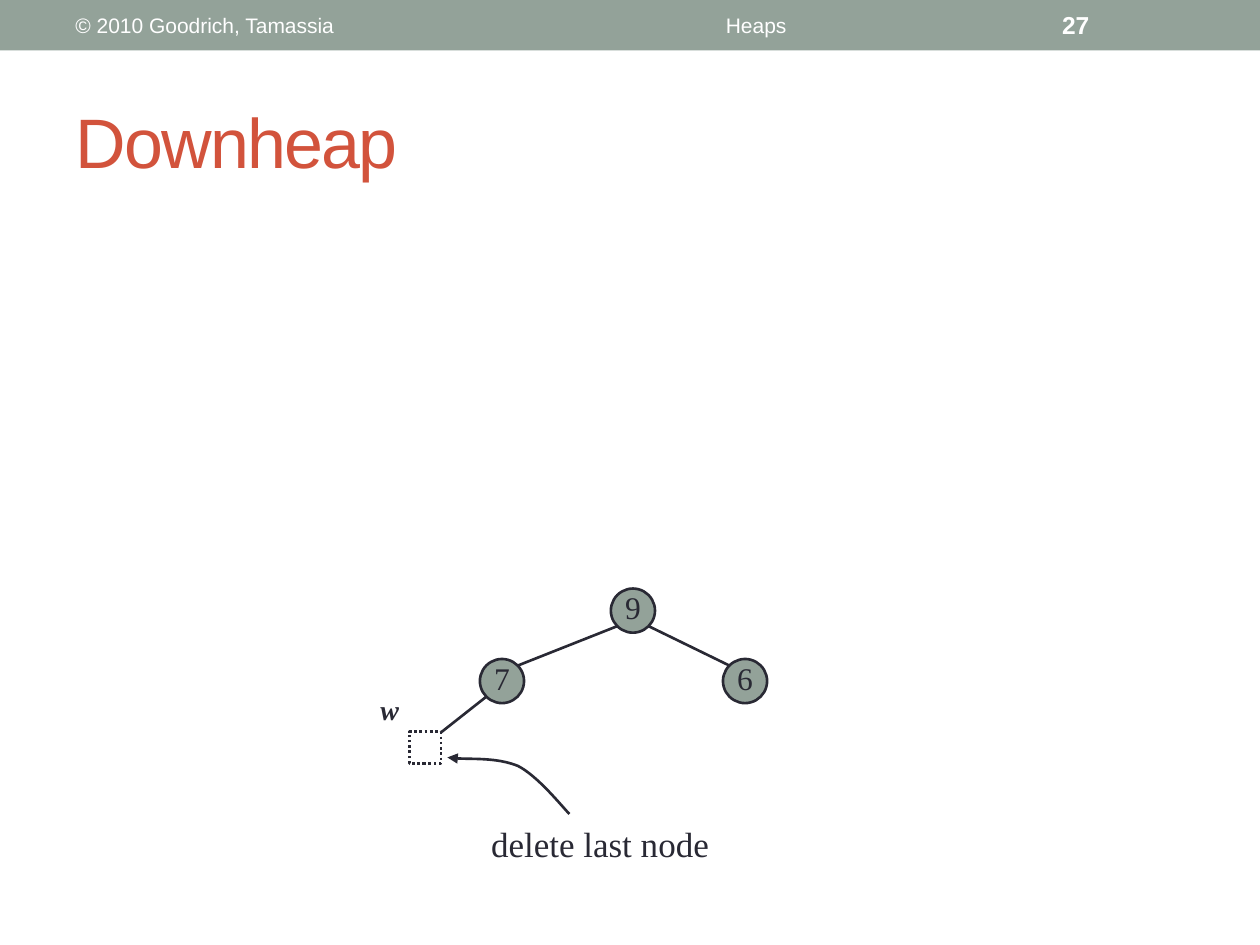
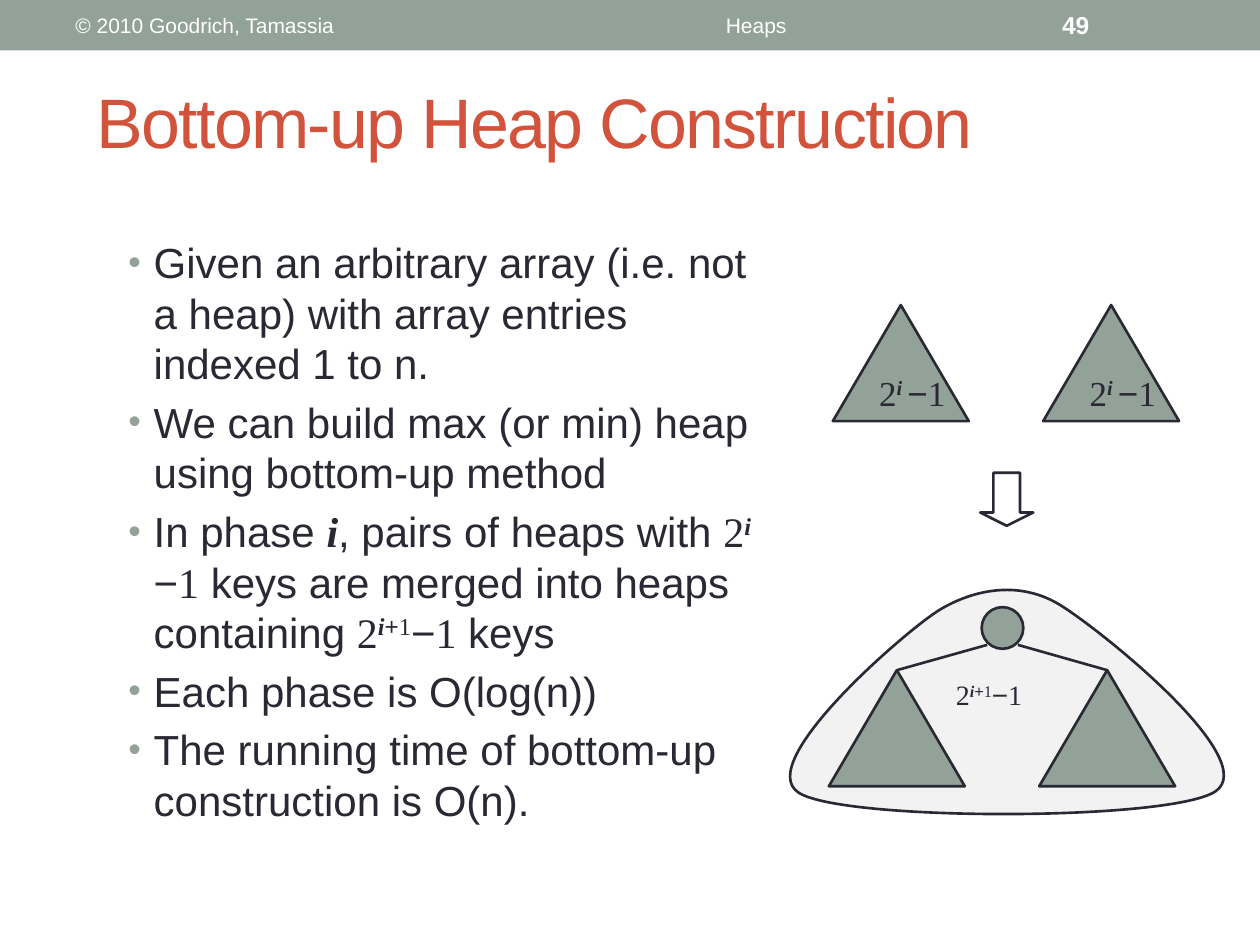
from pptx import Presentation
from pptx.dml.color import RGBColor
from pptx.enum.dml import MSO_LINE
from pptx.enum.shapes import MSO_CONNECTOR, MSO_SHAPE
from pptx.enum.text import MSO_ANCHOR, PP_ALIGN
from pptx.oxml.ns import qn
from pptx.util import Cm, Pt
from lxml.etree import SubElement

SAGE = RGBColor(0x93, 0xA2, 0x99)
INK = RGBColor(0x29, 0x29, 0x34)
RUST = RGBColor(0xD2, 0x53, 0x3C)
WHITE = RGBColor(0xFF, 0xFF, 0xFF)
PALE = RGBColor(0xF2, 0xF2, 0xF2)
SANS, SERIF = "Arial", "Times New Roman"

DIGIT = dict(font=SERIF)
VARIABLE = dict(font=SERIF, bold=True, italic=True)
RAISED_VARIABLE = dict(VARIABLE, raised=True)
RAISED_DIGIT = dict(font=SERIF, raised=True)
RAISED_SIGN = dict(raised=True)
MINUS_ONE = [("−", {}), ("1", DIGIT)]
SMALL_HEAP = [("2", DIGIT), ("i ", RAISED_VARIABLE)] + MINUS_ONE
MERGED_HEAP = [("2", DIGIT), ("i", RAISED_VARIABLE), ("+", RAISED_SIGN),
               ("1", RAISED_DIGIT)] + MINUS_ONE

NODE_SIZE, NODE_REACH = 0.89, 0.31
HEAP_WIDTH, HEAP_HEIGHT, HEAP_STEP = 2.74, 2.34, 4.24


def write(frame, paragraphs, size=18, font=SANS, color=INK, bold=False, align=PP_ALIGN.LEFT,
          anchor=MSO_ANCHOR.TOP, wrap=True, spacing=None, bullet=False):
    frame.word_wrap = wrap
    frame.vertical_anchor = anchor
    for index, content in enumerate(paragraphs):
        paragraph = frame.paragraphs[0] if index == 0 else frame.add_paragraph()
        paragraph.alignment = align
        if bullet:
            add_bullet(paragraph, size)
        for words, style in [(content, {})] if isinstance(content, str) else content:
            run = paragraph.add_run()
            run.text = words
            run.font.size = Pt(size)
            run.font.name = style.get("font", font)
            run.font.bold = style.get("bold", bold)
            run.font.italic = style.get("italic", False)
            run.font.color.rgb = color
            if style.get("raised"):
                run.font._element.set("baseline", "30000")
            if spacing:
                run.font._element.set("spc", str(spacing))


def add_bullet(paragraph, size):
    paragraph.space_before = Pt(size * 0.2)
    properties = paragraph._p.get_or_add_pPr()
    properties.set("marL", str(Cm(0.51)))
    properties.set("indent", str(Cm(-0.51)))
    tint = SubElement(properties, qn("a:buClr"))
    SubElement(tint, qn("a:srgbClr"), val=str(SAGE))
    SubElement(properties, qn("a:buSzPct"), val="85000")
    SubElement(properties, qn("a:buFont"), typeface=SANS)
    SubElement(properties, qn("a:buChar"), char="•")


def add_text(slide, area, *paragraphs, **style):
    box = slide.shapes.add_textbox(*map(Cm, area))
    write(box.text_frame, paragraphs, **style)


def paint(shape, fill, outlined=True):
    shape.shadow.inherit = False
    if fill is None:
        shape.fill.background()
    else:
        shape.fill.solid()
        shape.fill.fore_color.rgb = fill
    if outlined:
        shape.line.color.rgb = INK
        shape.line.width = Pt(1.5)
    else:
        shape.line.fill.background()


def add_figure(slide, kind, area, fill=SAGE, outlined=True):
    figure = slide.shapes.add_shape(kind, *map(Cm, area))
    paint(figure, fill, outlined)
    return figure


def add_edge(slide, start, end):
    edge = slide.shapes.add_connector(MSO_CONNECTOR.STRAIGHT, *map(Cm, start + end))
    edge.line.color.rgb = INK
    edge.line.width = Pt(1.5)
    SubElement(edge._element.spPr, qn("a:effectLst"))


def add_curve(slide, start, points, fill=None, closed=False):
    builder = slide.shapes.build_freeform(Cm(start[0]), Cm(start[1]))
    builder.add_line_segments([(Cm(x), Cm(y)) for x, y in points], close=closed)
    curve = builder.convert_to_shape()
    segments = list(curve._element.iter(qn("a:lnTo")))
    for first, second, third in zip(segments[::3], segments[1::3], segments[2::3]):
        first.tag
        bezier = first.getparent().makeelement(qn("a:cubicBezTo"))
        first.addprevious(bezier)
        for segment in (first, second, third):
            bezier.append(segment[0])
            segment.getparent().remove(segment)
    paint(curve, fill)
    return curve


def add_node(slide, center, key):
    x, y = center
    node = add_figure(slide, MSO_SHAPE.OVAL,
                      (x - NODE_SIZE / 2, y - NODE_SIZE / 2, NODE_SIZE, NODE_SIZE))
    frame = node.text_frame
    frame.margin_left = frame.margin_right = frame.margin_top = 0
    frame.margin_bottom = Cm(0.13)
    write(frame, [key], font=SERIF, align=PP_ALIGN.CENTER, anchor=MSO_ANCHOR.MIDDLE, wrap=False)


def add_branch(slide, parent, child, reach=NODE_REACH):
    side = 1 if child[0] > parent[0] else -1
    add_edge(slide, (parent[0] + side * NODE_REACH, parent[1] + NODE_REACH),
             (child[0] - side * reach, child[1] - reach))


def add_heap_pair(slide, left, top, label=None):
    for index in range(2):
        heap = add_figure(slide, MSO_SHAPE.ISOSCELES_TRIANGLE,
                          (left + index * HEAP_STEP, top, HEAP_WIDTH, HEAP_HEIGHT))
        if label:
            write(heap.text_frame, [label], size=20, anchor=MSO_ANCHOR.MIDDLE, wrap=False)


def start_slide(deck, number, title, title_area):
    slide = deck.slides.add_slide(deck.slide_layouts[6])
    add_figure(slide, MSO_SHAPE.RECTANGLE, (0, 0, 25.4, 1.02), outlined=False)
    header = dict(color=WHITE, anchor=MSO_ANCHOR.MIDDLE)
    add_text(slide, (1.27, 0.05, 8.05, 0.91), "© 2010 Goodrich, Tamassia", size=12, **header)
    add_text(slide, (9.53, 0.05, 11.43, 0.91), "Heaps", size=12, align=PP_ALIGN.CENTER, **header)
    add_text(slide, (21.16, 0.05, 2.97, 0.91), str(number), size=14, bold=True, **header)
    add_text(slide, title_area, title, size=40, color=RUST, anchor=MSO_ANCHOR.MIDDLE, spacing=-100)
    return slide


def build_downheap(deck):
    slide = start_slide(deck, 27, "Downheap", (1.27, 1.47, 22.86, 2.74))
    root, left, right, last = (12.76, 12.31), (10.12, 13.73), (15.02, 13.73), (8.57, 15.07)
    for center, key in ((root, "9"), (right, "6"), (left, "7")):
        add_node(slide, center, key)
    add_branch(slide, root, left)
    add_branch(slide, root, right)
    add_branch(slide, left, last, reach=0.25)
    pointer = add_curve(slide, (11.48, 16.41), [
        (11.33, 16.26), (10.85, 15.65), (10.44, 15.44),
        (10.01, 15.27), (9.3, 15.32), (9.02, 15.27)])
    SubElement(pointer.line._get_or_add_ln(), qn("a:tailEnd"), type="triangle")
    add_text(slide, (9.65, 16.46, 5.11, 1.12), "delete last node", size=20, font=SERIF, wrap=False)
    add_text(slide, (7.42, 13.84, 1.07, 1.27), [("w", VARIABLE)], size=16, wrap=False)
    removed = add_figure(slide, MSO_SHAPE.RECTANGLE,
                         (last[0] - 0.32, last[1] - 0.32, 0.64, 0.64), fill=WHITE)
    removed.line.dash_style = MSO_LINE.ROUND_DOT


def build_construction(deck):
    slide = start_slide(deck, 49, "Bottom-up Heap Construction", (1.7, 0.84, 19.25, 3.18))
    add_text(slide, (2.34, 4.65, 13.36, 11.86),
             "Given an arbitrary array (i.e. not a heap) with array entries indexed 1 to n.",
             "We can build max (or min) heap using bottom-up method",
             [("In phase ", {}), ("i", VARIABLE), (", pairs of heaps with ", {}), *SMALL_HEAP,
              (" keys are merged into heaps containing ", {}), *MERGED_HEAP, (" keys", {})],
             "Each phase is O(log(n))",
             "The running time of bottom-up construction is O(n).",
             size=24, bullet=True)
    add_heap_pair(slide, 16.79, 6.15, SMALL_HEAP)
    add_figure(slide, MSO_SHAPE.DOWN_ARROW, (19.76, 9.53, 1.07, 1.07), fill=None).adjustments[1] = 0.25
    add_curve(slide, (18.95, 12.29), [
        (18.34, 12.65), (15.16, 15.37), (16.1, 15.98),
        (16.99, 16.56), (23.62, 16.56), (24.51, 15.95),
        (25.4, 15.32), (22.38, 12.85), (21.44, 12.24),
        (20.52, 11.63), (19.53, 11.94), (18.95, 12.29)], fill=PALE, closed=True)
    left, top = 16.71, 13.51
    add_heap_pair(slide, left, top)
    add_figure(slide, MSO_SHAPE.OVAL, (19.79, 12.24, 0.84, 0.84))
    for index in range(2):
        apex = left + HEAP_WIDTH / 2 + index * HEAP_STEP
        add_branch(slide, (20.21, 12.69), (apex, top), reach=0)
    add_text(slide, (19.02, 13.54, 2.57, 1.27), MERGED_HEAP, size=16, wrap=False)


def main():
    deck = Presentation()
    deck.slide_width, deck.slide_height = Cm(25.4), Cm(19.05)
    build_downheap(deck)
    build_construction(deck)
    deck.save("out.pptx")


main()
